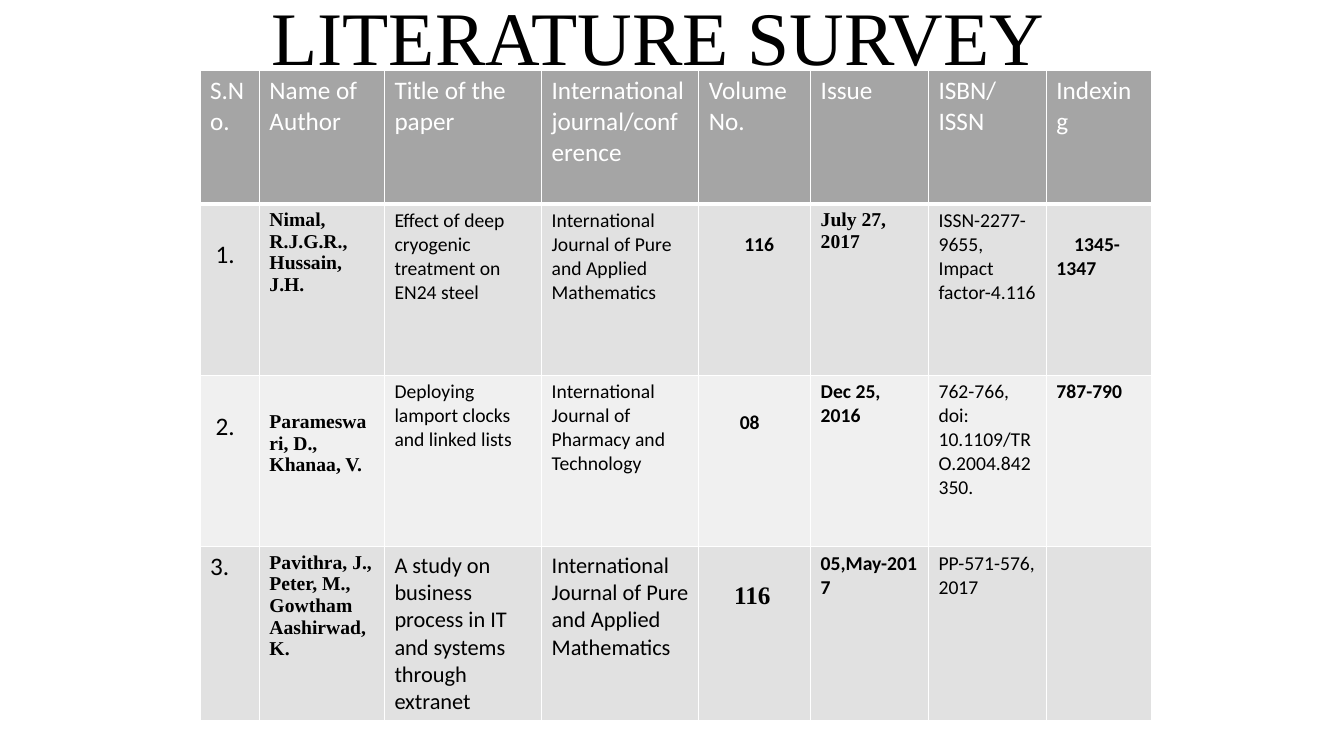
"""Build the literature survey slide with its table of papers."""
from dataclasses import dataclass

from lxml import etree
from pptx import Presentation
from pptx.dml.color import RGBColor
from pptx.enum.text import MSO_ANCHOR, MSO_AUTO_SIZE, PP_ALIGN
from pptx.oxml.ns import qn
from pptx.util import Pt

TOP, LOW = MSO_ANCHOR.TOP, MSO_ANCHOR.BOTTOM
LEFT, MID = PP_ALIGN.LEFT, PP_ALIGN.CENTER
NO_FIT = MSO_AUTO_SIZE.NONE
SANS, ROMAN = "Calibri", "Times New Roman"
HUES = {"ink": "000000", "white": "FFFFFF", "head": "A5A5A5",
        "dark": "E1E1E1", "light": "F0F0F0"}
WIDTHS = [42.5, 89.3, 112.3, 112.3, 79.9, 84.2, 84.2, 74.9]
HEIGHTS = [95.3, 122.4, 122.4, 122.4]
FILLS = ["head", "dark", "light", "dark"]
SIDE, EDGE = 7.2, 3.6
DROP = EDGE + 22


@dataclass
class Item:
    """Text of one table cell with its format and insets."""
    text: str
    size: float = 14
    font: str = SANS
    bold: bool = False
    hue: str = "ink"
    left: float = SIDE
    top: float = EDGE
    dent: float = 0


def head(text: str) -> Item:
    """Return a heading cell."""
    return Item(text, size=18, hue="white")


def name(text: str, top: float = EDGE) -> Item:
    """Return a bold serif cell."""
    return Item(text, font=ROMAN, bold=True, top=top)


ROWS = [
    [head(text) for text in (
        "S.No.", "Name of Author", "Title of the paper",
        "International journal/conference", "Volume\nNo.", "Issue",
        "ISBN/\nISSN", "Indexing")],
    [Item("1.", size=18, left=11.3, top=DROP),
     name("Nimal, R.J.G.R., Hussain, J.H."),
     Item("Effect of deep cryogenic treatment on EN24 steel"),
     Item("International Journal of Pure and Applied Mathematics"),
     Item("116", bold=True, left=32.5, top=20.7),
     name("July 27, 2017"),
     Item("ISSN-2277-9655, Impact factor-4.116"),
     Item("1345-1347", bold=True, top=20.7, dent=12.7)],
    [Item("2.", size=18, left=11.3, top=DROP),
     name("Parameswari, D., Khanaa, V.", top=DROP),
     Item("Deploying lamport clocks and linked lists"),
     Item("International Journal of Pharmacy and Technology"),
     Item("08", bold=True, left=29.3, top=DROP),
     Item("Dec 25,\n2016", bold=True),
     Item("762-766, doi: 10.1109/TRO.2004.842350."),
     Item("787-790", bold=True)],
    [Item("3.", size=18),
     name("Pavithra, J., Peter, M., Gowtham Aashirwad, K."),
     Item("A study on business process in IT and systems through extranet",
          size=16),
     Item("International Journal of Pure and Applied Mathematics", size=16),
     Item("116", size=18, font=ROMAN, bold=True, left=25.2, top=DROP),
     Item("05,May-2017", bold=True),
     Item("PP-571-576, 2017"),
     Item("")],
]


def tint(hue: str) -> RGBColor:
    """Return the named colour."""
    return RGBColor.from_string(HUES[hue])


def write(frame, text: str, *, size: float, font: str = SANS,
          bold: bool = False, hue: str = "ink", side=LEFT,
          space: float = 1, dent: float = 0) -> None:
    """Fill a text frame with lines of one format."""
    frame.word_wrap = True
    frame.text = text
    for line in frame.paragraphs:
        line.alignment = side
        line.line_spacing = space
        if dent:
            line._p.get_or_add_pPr().set("indent", str(Pt(dent)))
        for part in [line, *line.runs]:
            part.font.size = Pt(size)
            part.font.name = font
            part.font.bold = bold
            part.font.color.rgb = tint(hue)


def rule(cell, base: float) -> None:
    """Draw white borders round a cell."""
    props = cell._tc.get_or_add_tcPr()
    for tag, width in (("lnL", 1), ("lnR", 1), ("lnT", 1), ("lnB", base)):
        line = etree.SubElement(props, qn(f"a:{tag}"), w=str(Pt(width)))
        fill = etree.SubElement(line, qn("a:solidFill"))
        etree.SubElement(fill, qn("a:srgbClr"), val=HUES["white"])


def draw(cell, item: Item, fill: str, base: float) -> None:
    """Format one table cell."""
    rule(cell, base)
    cell.fill.solid()
    cell.fill.fore_color.rgb = tint(fill)
    cell.vertical_anchor = TOP
    cell.margin_left, cell.margin_right = Pt(item.left), Pt(SIDE)
    cell.margin_top, cell.margin_bottom = Pt(item.top), Pt(EDGE)
    write(cell.text_frame, item.text, size=item.size, font=item.font,
          bold=item.bold, hue=item.hue, dent=item.dent)


def main() -> None:
    """Build and save the slide."""
    deck = Presentation()
    deck.slide_width, deck.slide_height = Pt(960), Pt(540)
    slide = deck.slides.add_slide(deck.slide_layouts[0])
    spare = slide.placeholders[1].element
    spare.getparent().remove(spare)

    title = slide.shapes.title
    title.left, title.top = Pt(154), Pt(0)
    title.width, title.height = Pt(632), Pt(62)
    title.text_frame.vertical_anchor = LOW
    title.text_frame.auto_size = NO_FIT
    write(title.text_frame, "LITERATURE SURVEY", size=54, font=ROMAN,
          side=MID, space=0.9)

    table = slide.shapes.add_table(
        len(ROWS), len(WIDTHS), Pt(142.8), Pt(50.4),
        Pt(sum(WIDTHS)), Pt(sum(HEIGHTS))).table
    for col, width in zip(table.columns, WIDTHS):
        col.width = Pt(width)
    for row, height, items, fill in zip(table.rows, HEIGHTS, ROWS, FILLS):
        row.height = Pt(height)
        for cell, item in zip(row.cells, items):
            draw(cell, item, fill, 3 if fill == "head" else 1)
    deck.save("out.pptx")


if __name__ == "__main__":
    main()
